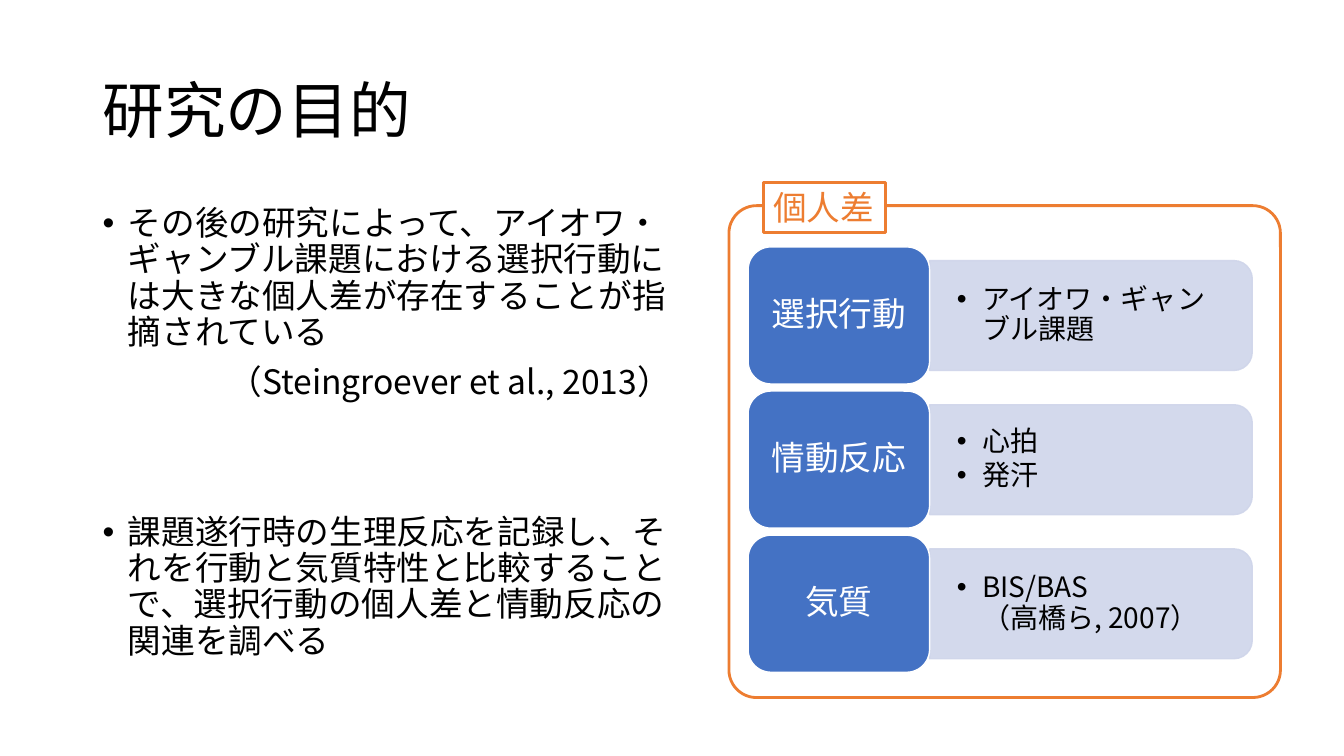
from dataclasses import dataclass

from lxml import etree
from pptx import Presentation
from pptx.dml.color import RGBColor
from pptx.enum.shapes import MSO_SHAPE
from pptx.enum.text import MSO_ANCHOR, MSO_AUTO_SIZE, PP_ALIGN
from pptx.oxml.ns import qn
from pptx.shapes.autoshape import Shape
from pptx.slide import Slide
from pptx.text.text import TextFrame
from pptx.util import Inches, Pt

ROUNDED = MSO_SHAPE.ROUNDED_RECTANGLE
ROUNDED_TOP = MSO_SHAPE.ROUND_2_SAME_RECTANGLE
RECTANGLE = MSO_SHAPE.RECTANGLE
LEFT, CENTER, RIGHT = PP_ALIGN.LEFT, PP_ALIGN.CENTER, PP_ALIGN.RIGHT
TOP, MIDDLE = MSO_ANCHOR.TOP, MSO_ANCHOR.MIDDLE


@dataclass(frozen=True)
class Theme:
    font: str = "Noto Sans CJK JP"
    black: str = "000000"
    white: str = "FFFFFF"
    blue: str = "4472C4"
    pale_blue: str = "CFD5EA"
    orange: str = "ED7D31"
    title_size: int = 44
    body_size: int = 24
    detail_size: int = 20


@dataclass(frozen=True)
class Box:
    left: float
    top: float
    width: float
    height: float


@dataclass(frozen=True)
class TextLine:
    text: str  # "\n" marks a line break inside the paragraph
    bullet: bool = False
    align: PP_ALIGN = LEFT
    before: float = 0
    after: float = 0


@dataclass(frozen=True)
class Measure:
    name: str
    details: tuple[str, ...]


THEME = Theme()
BODY = (
    TextLine("その後の研究によって、アイオワ・ギャンブル課題における選択行動には"
             "大きな個人差が存在することが指摘されている", bullet=True),
    TextLine("（Steingroever et al., 2013）", align=RIGHT, before=10),
    TextLine("課題遂行時の生理反応を記録し、それを行動と気質特性と比較することで、"
             "選択行動の個人差と情動反応の関連を調べる", bullet=True, before=81),
)
MEASURES = (
    Measure("選択行動", ("アイオワ・ギャンブル課題",)),
    Measure("情動反応", ("心拍", "発汗")),
    Measure("気質", ("BIS/BAS\n（高橋ら, 2007）",)),
)
CARD = Box(7.42, 2.45, 1.8, 1.36)
CARD_STEP = 1.43
PANEL_LENGTH, PANEL_HEIGHT = 3.2, 1.09
DETAIL_WIDTH, DETAIL_HEIGHT = 3.15, 0.98


def lengths(box: Box) -> tuple[Inches, Inches, Inches, Inches]:
    return Inches(box.left), Inches(box.top), Inches(box.width), Inches(box.height)


def write_lines(frame: TextFrame, lines: tuple[TextLine, ...], size: int,
                color: str, spacing: float = 0.9) -> None:
    for index, line in enumerate(lines):
        paragraph = frame.paragraphs[0] if index == 0 else frame.add_paragraph()
        paragraph.alignment = line.align
        paragraph.line_spacing = spacing
        paragraph.space_before = Pt(line.before)
        paragraph.space_after = Pt(line.after)
        if line.bullet:
            properties = paragraph._p.get_or_add_pPr()
            properties.set("marL", str(Inches(0.25)))
            properties.set("indent", str(-Inches(0.25)))
            etree.SubElement(properties, qn("a:buFont"), typeface="Arial")
            etree.SubElement(properties, qn("a:buChar"), char="•")
        for part, text in enumerate(line.text.split("\n")):
            if part:
                paragraph.add_line_break()
            run = paragraph.add_run()
            run.text = text
            run.font.name = THEME.font
            run.font.size = Pt(size)
            run.font.color.rgb = RGBColor.from_string(color)
            etree.SubElement(run._r.get_or_add_rPr(), qn("a:ea"), typeface=THEME.font)


def add_text(slide: Slide, box: Box, lines: tuple[TextLine, ...], size: int,
             anchor: MSO_ANCHOR, inset: tuple[float, float] = (0.1, 0.05)) -> None:
    frame = slide.shapes.add_textbox(*lengths(box)).text_frame
    frame.word_wrap = True
    frame.vertical_anchor = anchor
    frame.margin_left = frame.margin_right = Inches(inset[0])
    frame.margin_top = frame.margin_bottom = Inches(inset[1])
    write_lines(frame, lines, size, THEME.black)


def add_shape(slide: Slide, kind: MSO_SHAPE, box: Box, fill: str | None,
              line: str, line_width: float) -> Shape:
    shape = slide.shapes.add_shape(kind, *lengths(box))
    shape.shadow.inherit = False
    if fill is None:
        shape.fill.background()
    else:
        shape.fill.solid()
        shape.fill.fore_color.rgb = RGBColor.from_string(fill)
    shape.line.color.rgb = RGBColor.from_string(line)
    shape.line.width = Pt(line_width)
    return shape


def add_measure(slide: Slide, measure: Measure, top: float) -> None:
    middle = top + CARD.height / 2
    right = CARD.left + CARD.width

    # Pale panel, turned so that its rounded end faces right
    panel_box = Box(right + (PANEL_LENGTH - PANEL_HEIGHT) / 2,
                    middle - PANEL_LENGTH / 2, PANEL_HEIGHT, PANEL_LENGTH)
    panel = add_shape(slide, ROUNDED_TOP, panel_box, THEME.pale_blue, THEME.pale_blue, 1)
    panel.rotation = 90
    for color in panel._element.spPr.iter(qn("a:srgbClr")):
        etree.SubElement(color, qn("a:alpha"), val="90000")

    # Details on the panel
    details = tuple(TextLine(text, bullet=True, after=3) for text in measure.details)
    detail_box = Box(right, middle - DETAIL_HEIGHT / 2, DETAIL_WIDTH, DETAIL_HEIGHT)
    add_text(slide, detail_box, details, THEME.detail_size, MIDDLE, (0.27, 0.14))

    # Blue card with the name
    card_box = Box(CARD.left, top, CARD.width, CARD.height)
    card = add_shape(slide, ROUNDED, card_box, THEME.blue, THEME.white, 1)
    card.text_frame.vertical_anchor = MIDDLE
    write_lines(card.text_frame, (TextLine(measure.name, align=CENTER),),
                THEME.body_size, THEME.white)


def main() -> None:
    presentation = Presentation()
    presentation.slide_width = Inches(13.33)
    presentation.slide_height = Inches(7.5)
    slide = presentation.slides.add_slide(presentation.slide_layouts[6])

    # Title and body
    add_text(slide, Box(0.92, 0.4, 11.5, 1.45), (TextLine("研究の目的"),),
             THEME.title_size, MIDDLE)
    add_text(slide, Box(0.92, 2, 5.83, 4.76), BODY, THEME.body_size, TOP)

    # Measures
    for row, measure in enumerate(MEASURES):
        add_measure(slide, measure, CARD.top + row * CARD_STEP)

    # Frame around the measures and its label
    frame = add_shape(slide, ROUNDED, Box(7.23, 2.04, 5.47, 4.88), None, THEME.orange, 2)
    frame.adjustments[0] = 0.056
    label = add_shape(slide, RECTANGLE, Box(7.57, 1.81, 1.21, 0.5),
                      THEME.white, THEME.orange, 2)
    label.text_frame.word_wrap = False
    label.text_frame.auto_size = MSO_AUTO_SIZE.SHAPE_TO_FIT_TEXT
    label.text_frame.vertical_anchor = TOP
    write_lines(label.text_frame, (TextLine("個人差"),), THEME.body_size,
                THEME.orange, spacing=1.0)

    presentation.save("out.pptx")


if __name__ == "__main__":
    main()
